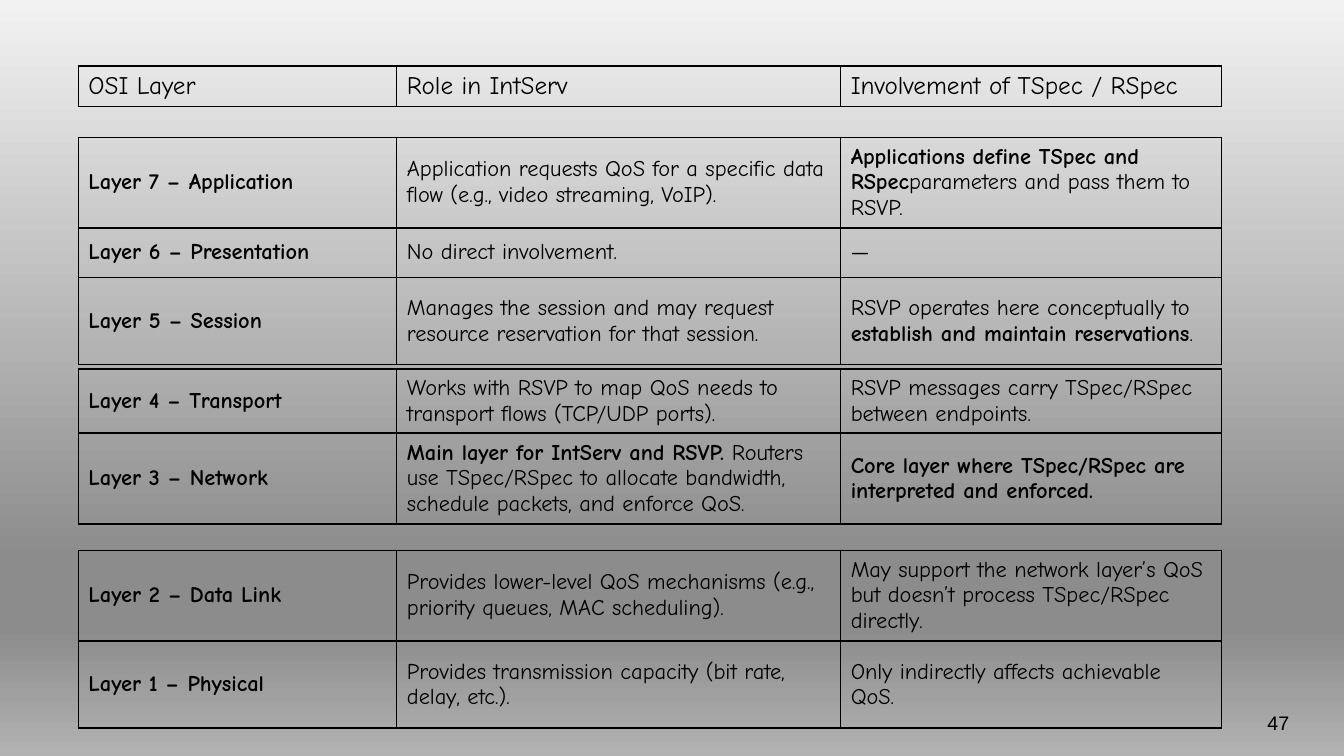
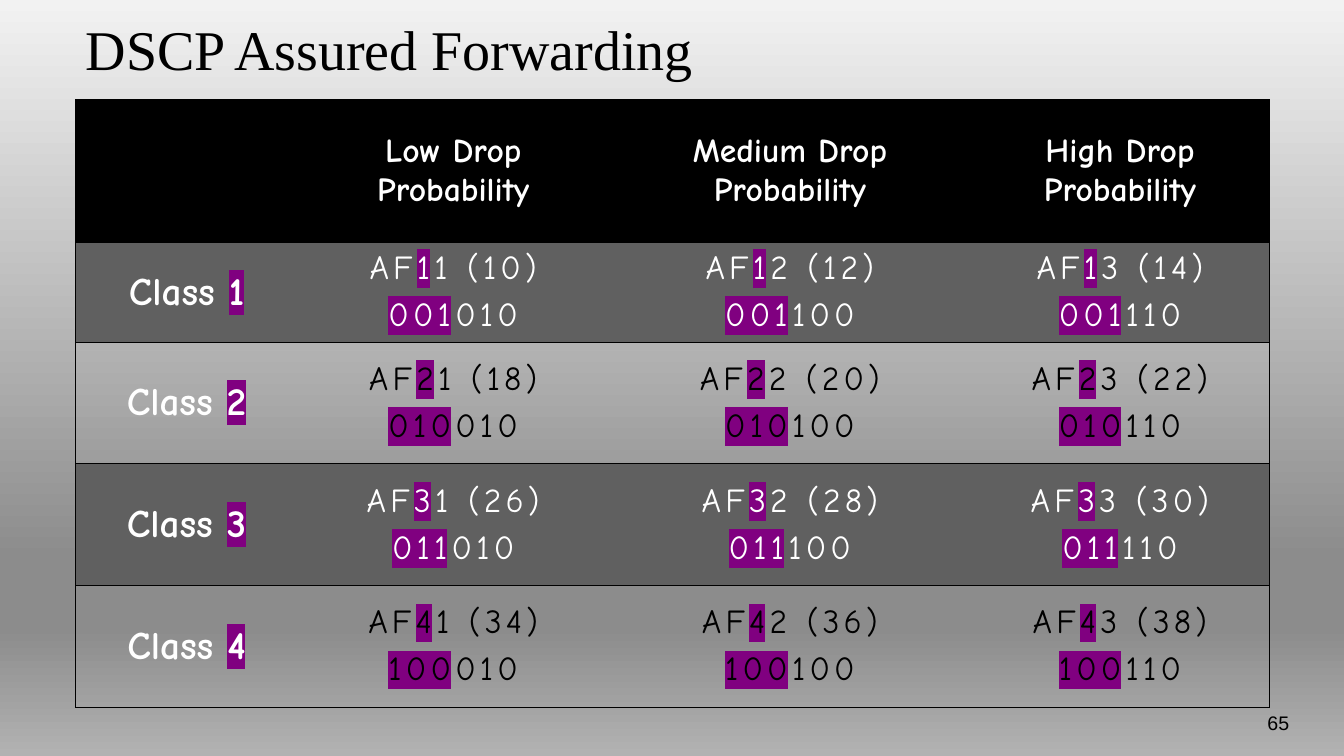
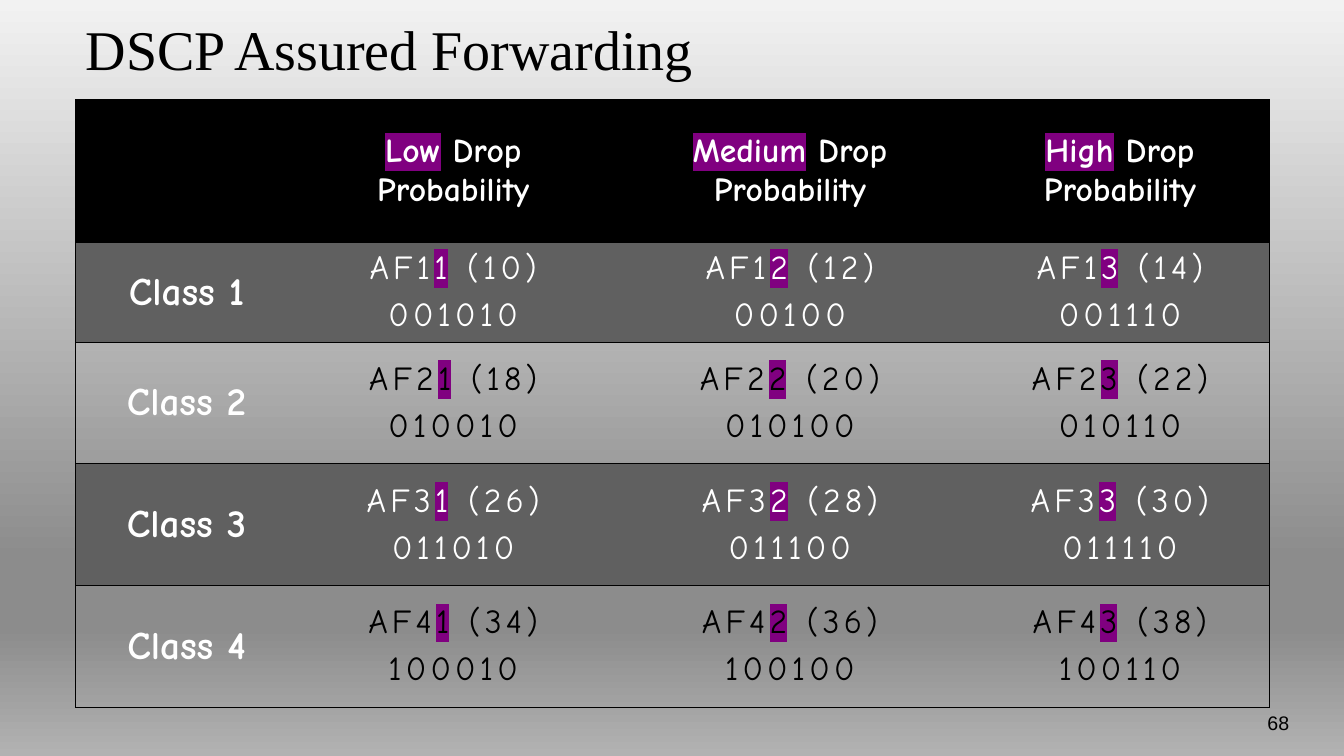
from dataclasses import dataclass

from lxml.etree import SubElement
from pptx import Presentation
from pptx.dml.color import RGBColor
from pptx.enum.text import MSO_ANCHOR as Anchor, PP_ALIGN as Align
from pptx.oxml.ns import qn
from pptx.util import Pt

COLORS = {
    "black": "000000",
    "white": "FFFFFF",
    "band": "606060",
    "mark": "800080",
}
BACKGROUND_STOPS = [(0, "F2F2F2"), (74, "8C8C8C"), (83, "8C8C8C"), (100, "B2B2B2")]
TABLE_FONT = "Comic Neue"
NO_STYLE_NO_GRID = "{2D5ABB26-0587-4C30-8999-92F81FD0307C}"
TITLE_ONLY, BLANK = 5, 6


@dataclass(frozen=True)
class TextStyle:
    size: float
    color: str = "black"
    bold: bool = False
    spacing: float = 0
    align: Align = Align.LEFT
    highlight: bool = False  # marked parts are highlighted instead of bold


@dataclass(frozen=True)
class LayerRow:
    top: float
    height: float
    texts: tuple[str, str, str]
    size: float = 16


# Parts between two bars are marked.
LAYER_COLUMNS = (227.5, 317, 272)
LAYER_ROWS = [
    LayerRow(47.2, 28, ("OSI Layer", "Role in IntServ", "Involvement of TSpec / RSpec"), 18),
    LayerRow(98, 62, (
        "|Layer 7 – Application|",
        "Application requests QoS for a specific data flow (e.g., video streaming, VoIP).",
        "|Applications define TSpec and RSpec|parameters and pass them to RSVP.")),
    LayerRow(163, 35, ("|Layer 6 – Presentation|", "No direct involvement.", "—")),
    LayerRow(198.4, 62, (
        "|Layer 5 – Session|",
        "Manages the session and may request resource reservation for that session.",
        "RSVP operates here conceptually to |establish and maintain reservations|.")),
    LayerRow(263.5, 44, (
        "|Layer 4 – Transport|",
        "Works with RSVP to map QoS needs to transport flows (TCP/UDP ports).",
        "RSVP messages carry TSpec/RSpec between endpoints.")),
    LayerRow(309.5, 62, (
        "|Layer 3 – Network|",
        "|Main layer for IntServ and RSVP.| Routers use TSpec/RSpec to allocate bandwidth, "
        "schedule packets, and enforce QoS.",
        "|Core layer where TSpec/RSpec are interpreted and enforced.|")),
    LayerRow(393, 62, (
        "|Layer 2 – Data Link|",
        "Provides lower-level QoS mechanisms (e.g., priority queues, MAC scheduling).",
        "May support the network layer’s QoS but doesn’t process TSpec/RSpec directly.")),
    LayerRow(458, 62, (
        "|Layer 1 – Physical|",
        "Provides transmission capacity (bit rate, delay, etc.).",
        "Only indirectly affects achievable QoS.")),
]

CLASS_COLUMNS = (158.5, 222.5, 258.5, 213)
CLASS_ROWS = (102, 71, 87, 87, 87)
DROP_LEVELS = ("Low", "Medium", "High")
SHORT_CODES = {(1, 2): "00100"}
HEADING = TextStyle(24, "white", bold=True, align=Align.CENTER, highlight=True)
CLASS_NAME = TextStyle(28, "white", bold=True, align=Align.CENTER, highlight=True)


def rgb(name: str) -> RGBColor:
    return RGBColor.from_string(COLORS[name])


def set_background(master) -> None:
    fill = master.background.fill
    fill.gradient()
    fill.gradient_angle = 270
    stops = master.element.find(".//" + qn("a:gsLst"))
    for stop in list(stops):
        stops.remove(stop)
    for position, color in BACKGROUND_STOPS:
        stop = SubElement(stops, qn("a:gs"), pos=str(position * 1000))
        SubElement(stop, qn("a:srgbClr"), val=color)


def set_font(paragraph, name: str, size: float, color: str = "black", bold: bool = False) -> None:
    font = paragraph.font
    font.name, font.size, font.bold = name, Pt(size), bold
    font.color.rgb = rgb(color)


def add_slide(deck, page: int, title: str = ""):
    slide = deck.slides.add_slide(deck.slide_layouts[TITLE_ONLY if title else BLANK])
    number = slide.shapes.add_textbox(Pt(857), Pt(504), Pt(71), Pt(36)).text_frame
    number.word_wrap = True
    number.text = str(page)
    number.paragraphs[0].alignment = Align.RIGHT
    set_font(number.paragraphs[0], "Arial", 14)
    if title:
        heading = slide.shapes.title
        heading.left, heading.top, heading.width, heading.height = Pt(54), Pt(0), Pt(852.5), Pt(68.4)
        heading.text_frame.text = title
        heading.text_frame.vertical_anchor = Anchor.MIDDLE
        heading.text_frame.paragraphs[0].alignment = Align.LEFT
        set_font(heading.text_frame.paragraphs[0], "Times New Roman", 40)
    return slide


def add_grid(slide, left: float, top: float, columns: tuple, rows: tuple):
    """Add a table without a style, with the given column widths and row heights."""
    table = slide.shapes.add_table(
        len(rows), len(columns), Pt(left), Pt(top), Pt(sum(columns)), Pt(sum(rows))).table
    table.first_row = table.horz_banding = False
    table._tbl.tblPr.find(qn("a:tableStyleId")).text = NO_STYLE_NO_GRID
    for column, width in zip(table.columns, columns):
        column.width = Pt(width)
    for row, height in zip(table.rows, rows):
        row.height = Pt(height)
    return table


def format_cell(cell, sides: str, line_width: float, fill: str = "") -> None:
    """Draw the sides named by letters of "LRTB", in that order, and fill the cell."""
    properties = cell._tc.get_or_add_tcPr()
    for side in sides:
        line = SubElement(properties, qn(f"a:ln{side}"), w=str(Pt(line_width)))
        SubElement(SubElement(line, qn("a:solidFill")), qn("a:srgbClr"), val=COLORS["black"])
    if fill:
        cell.fill.solid()
        cell.fill.fore_color.rgb = rgb(fill)
    else:
        cell.fill.background()
    cell.vertical_anchor = Anchor.MIDDLE


def write(cell, lines: list[str], style: TextStyle) -> None:
    frame = cell.text_frame
    for index, line in enumerate(lines):
        paragraph = frame.add_paragraph() if index else frame.paragraphs[0]
        paragraph.alignment = style.align
        if index:
            paragraph.space_before = Pt(6)
        set_font(paragraph, TABLE_FONT, style.size, style.color, style.bold)
        for position, part in enumerate(line.split("|")):
            if part:
                add_run(paragraph, part, style, marked=position % 2 == 1)


def add_run(paragraph, text: str, style: TextStyle, marked: bool) -> None:
    run = paragraph.add_run()
    run.text = text
    properties = run._r.get_or_add_rPr()
    if style.spacing:
        properties.set("spc", str(round(style.spacing * 100)))
    if marked and style.highlight:
        SubElement(SubElement(properties, qn("a:highlight")), qn("a:srgbClr"), val=COLORS["mark"])
    elif marked:
        run.font.bold = True


def add_layers_slide(deck) -> None:
    slide = add_slide(deck, 47)
    for layer in LAYER_ROWS:
        table = add_grid(slide, 56, layer.top, LAYER_COLUMNS, (layer.height,))
        for cell, text in zip(table.iter_cells(), layer.texts):
            format_cell(cell, "LRTB", 1)
            write(cell, [text], TextStyle(layer.size))


def forwarding_lines(service: int, drop: int, mark_class: bool) -> list[str]:
    """Name, decimal value and bits of one code point, with its class or drop digit marked."""
    value = 8 * service + 2 * drop
    if mark_class:
        return [f"AF|{service}|{drop} ({value})", f"|{service:03b}|{drop:02b}0"]
    return [f"AF{service}|{drop}| ({value})", SHORT_CODES.get((service, drop), f"{value:06b}")]


def add_forwarding_slide(deck, page: int, mark_class: bool) -> None:
    slide = add_slide(deck, page, "DSCP Assured Forwarding")
    table = add_grid(slide, 54, 71.3, CLASS_COLUMNS, CLASS_ROWS)
    last = len(CLASS_COLUMNS) - 1
    for service in range(len(CLASS_ROWS)):
        banded = service % 2 == 1
        fill = "band" if banded else "" if service else "black"
        code_style = TextStyle(24, "white" if banded else "black", spacing=3,
                               align=Align.CENTER, highlight=True)
        for drop in range(len(CLASS_COLUMNS)):
            cell = table.cell(service, drop)
            sides = ("L" if drop == 0 else "R" if drop == last else "") + "TB"
            format_cell(cell, sides, 0.75, fill)
            if service and drop:
                write(cell, forwarding_lines(service, drop, mark_class), code_style)
            elif service:
                write(cell, [f"Class |{service}|" if mark_class else f"Class {service}"], CLASS_NAME)
            elif drop:
                level = DROP_LEVELS[drop - 1]
                name = level if mark_class else f"|{level}|"
                write(cell, [f"{name} Drop Probability"], HEADING)


def main() -> None:
    deck = Presentation()
    deck.slide_width, deck.slide_height = Pt(960), Pt(540)
    set_background(deck.slide_master)
    add_layers_slide(deck)
    add_forwarding_slide(deck, 65, mark_class=True)
    add_forwarding_slide(deck, 68, mark_class=False)
    deck.save("out.pptx")


if __name__ == "__main__":
    main()
